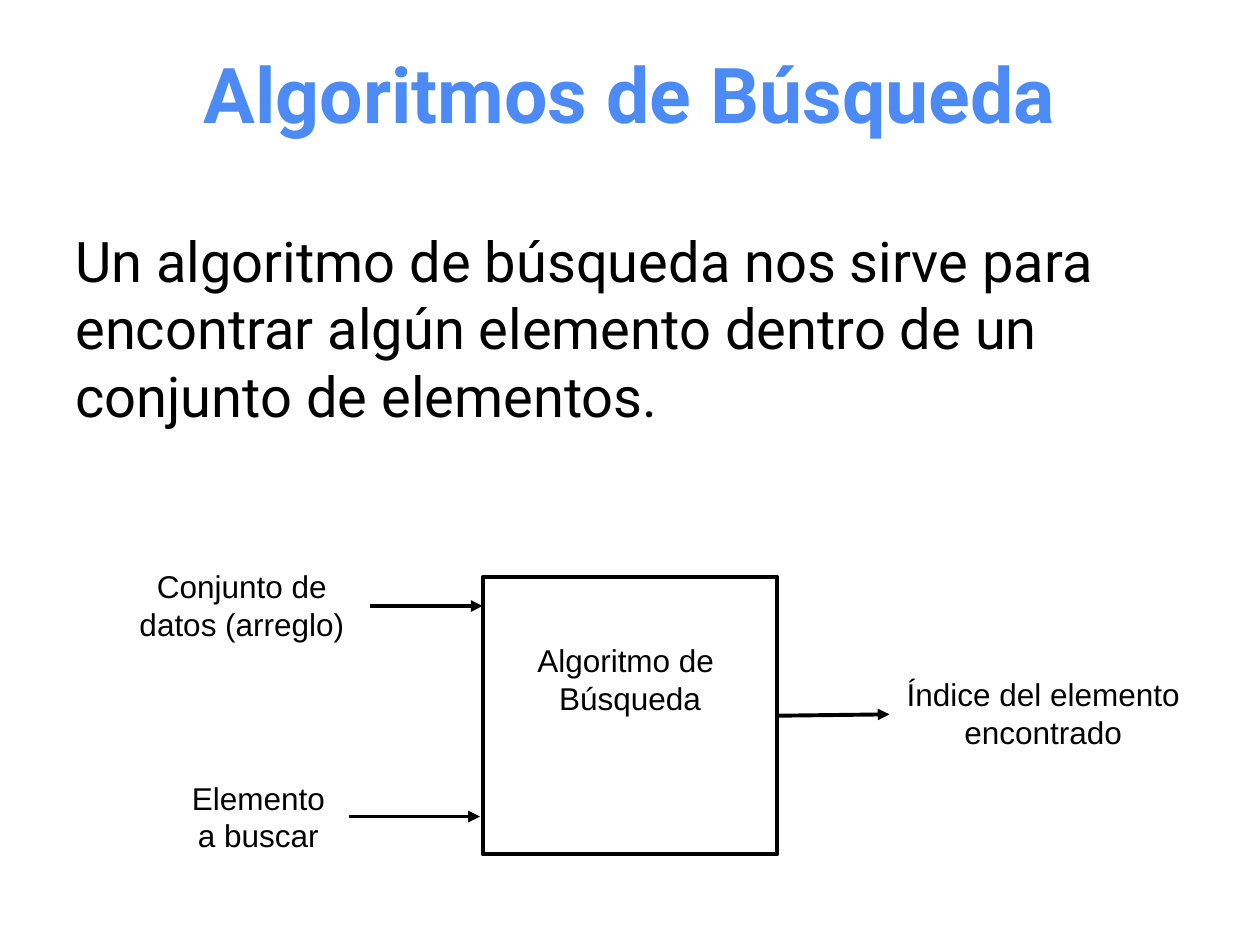
import pptx
import pptx.dml.color
import pptx.enum.shapes
import pptx.enum.text
import pptx.oxml
import pptx.oxml.ns
import pptx.util

Pt = pptx.util.Pt
RGB = pptx.dml.color.RGBColor
ALIGN = pptx.enum.text.PP_ALIGN
MIDDLE = pptx.enum.text.MSO_ANCHOR.MIDDLE
TOP = pptx.enum.text.MSO_ANCHOR.TOP

BLUE = RGB(0x4C, 0x8B, 0xF5)
BLACK = RGB(0, 0, 0)

HEAD = {"name": "Roboto", "size": Pt(44), "bold": True, "color": BLUE}
BODY = {"name": "Roboto", "size": Pt(32), "color": BLACK}
LABEL = {"name": "Arial", "size": Pt(18), "color": BLACK}
STROKE = 2.25


def set_font(font, style):
    for key, val in style.items():
        if key == "color":
            font.color.rgb = val
        else:
            setattr(font, key, val)


def write(shape, lines, style, align=ALIGN.CENTER, anchor=TOP, wrap=True):
    frame = shape.text_frame
    frame.word_wrap = wrap
    frame.vertical_anchor = anchor
    frame.text = "\n".join(lines)
    for para in frame.paragraphs:
        para.alignment = align
        for run in para.runs:
            set_font(run.font, style)


def add_title(slide, text, area):
    title = slide.shapes.title
    title.left, title.top, title.width, title.height = map(Pt, area)
    write(title, [text], HEAD, anchor=MIDDLE)


def add_text(slide, text, area, style=LABEL, align=ALIGN.CENTER):
    box = slide.shapes.add_textbox(*map(Pt, area))
    write(box, [text], style, align)


def add_box(slide, lines, area):
    kind = pptx.enum.shapes.MSO_SHAPE.RECTANGLE
    box = slide.shapes.add_shape(kind, *map(Pt, area))
    box.shadow.inherit = False
    box.fill.background()
    box.line.color.rgb = BLACK
    box.line.width = Pt(STROKE)
    write(box, lines, LABEL, anchor=MIDDLE, wrap=False)
    # Lift the words above the centre
    box.text_frame.margin_bottom = Pt(46)


def add_arrow(slide, ends):
    kind = pptx.enum.shapes.MSO_CONNECTOR.STRAIGHT
    arrow = slide.shapes.add_connector(kind, *map(Pt, ends))
    arrow.line.color.rgb = BLACK
    arrow.line.width = Pt(STROKE)
    space = pptx.oxml.ns.nsdecls("a")
    tip = f'<a:tailEnd {space} type="triangle"/>'
    arrow.line._get_or_add_ln().append(pptx.oxml.parse_xml(tip))
    props = arrow._element.spPr
    props.append(pptx.oxml.parse_xml(f"<a:effectLst {space}/>"))


def main():
    deck = pptx.Presentation()
    deck.slide_width, deck.slide_height = Pt(720), Pt(540)
    slide = deck.slides.add_slide(deck.slide_layouts[5])

    # Heading and definition
    add_title(slide, "Algoritmos de Búsqueda", (36, 21.6, 648, 62.6))
    add_text(
        slide,
        "Un algoritmo de búsqueda nos sirve para encontrar algún elemento "
        "dentro de un conjunto de elementos.",
        (36, 126, 648, 128), BODY, ALIGN.LEFT,
    )

    # Process box
    add_box(slide, ["Algoritmo de ", "Búsqueda"], (275.8, 329.8, 168.5, 158.4))

    # Inputs and output
    for text, area in (
        ("Conjunto de datos (arreglo)", (64.8, 320.4, 146.9, 51)),
        ("Elemento a buscar", (95.8, 441.4, 103.7, 51)),
        ("Índice del elemento encontrado", (508.3, 382.3, 175.7, 51)),
    ):
        add_text(slide, text, area)

    # Flow arrows
    for ends in (
        (211.7, 346.3, 275.8, 346.3),
        (199.4, 466.6, 274.3, 466.6),
        (444.2, 409, 508.3, 408.2),
    ):
        add_arrow(slide, ends)

    deck.save("out.pptx")


if __name__ == "__main__":
    main()
